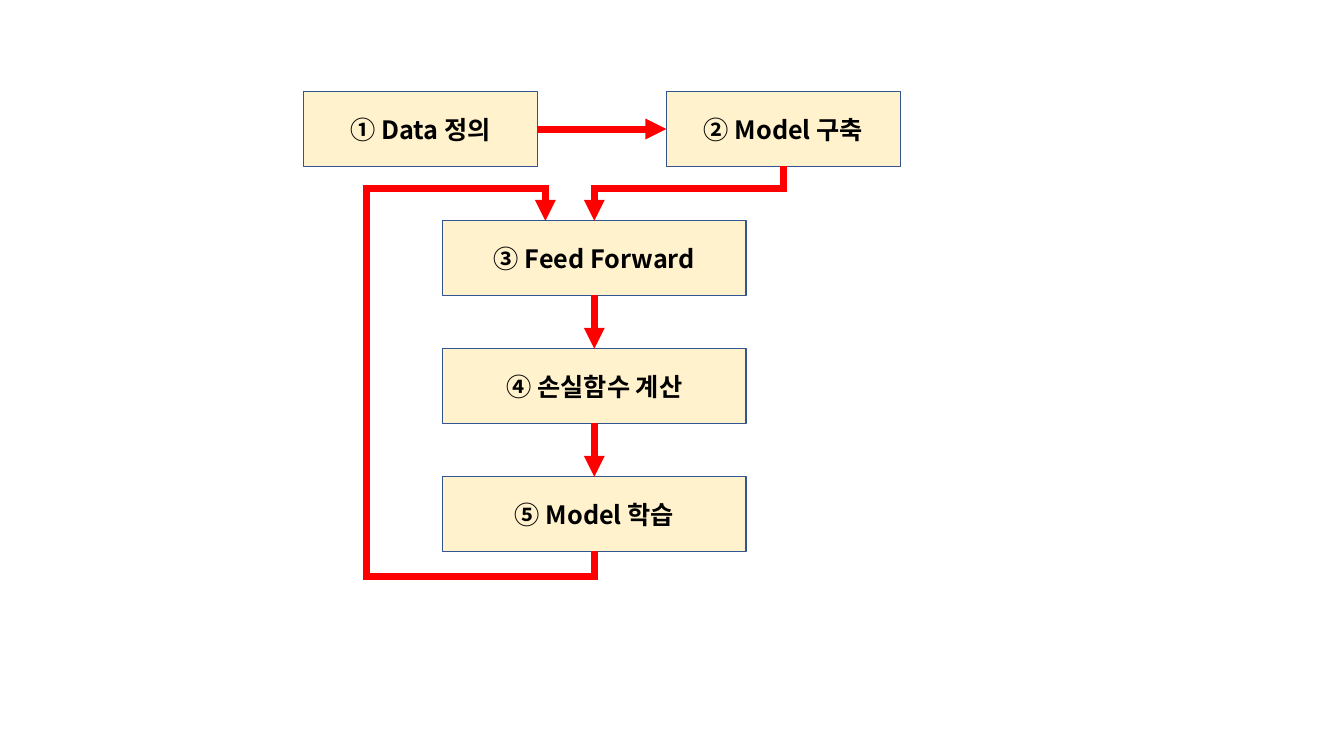
from lxml.etree import SubElement
from pptx import Presentation
from pptx.dml.color import RGBColor
from pptx.enum.shapes import MSO_CONNECTOR, MSO_SHAPE
from pptx.enum.text import MSO_ANCHOR, PP_ALIGN
from pptx.oxml.ns import qn
from pptx.util import Inches, Pt

COLORS = {"box": "FFF2CC", "border": "325491", "arrow": "FF0000", "text": "000000"}
FONT = "Noto Sans CJK KR"
TEXT_FORMAT = {"size": Pt(18), "bold": True, "name": FONT}
BOX_HEIGHT = 0.74
TOP_ROW, LOOP_TOP, LOOP_STEP = 0.91, 2.19, 1.27
TOP_WIDTH, LOOP_LEFT, LOOP_WIDTH = 2.32, 4.39, 3.01

prs = Presentation()
prs.slide_width, prs.slide_height = Inches(13.33), Inches(7.5)
slide = prs.slides.add_slide(prs.slide_layouts[6])


def style_arrow(arrow):
    """Give a connector the thick red line and a triangle at its end."""
    arrow.line.color.rgb = RGBColor.from_string(COLORS["arrow"])
    arrow.line.width = Pt(5)
    line = arrow.line._ln
    SubElement(line, qn("a:miter"), lim="800000")
    SubElement(line, qn("a:tailEnd"), type="triangle")
    SubElement(arrow._element.spPr, qn("a:effectLst"))


def add_bent_arrow(start, end, preset, adjustments):
    """Draw an elbow that leaves and arrives vertically, ending left of its start."""
    (x1, y1), (x2, y2) = start, end
    width, height = abs(y2 - y1), abs(x2 - x1)
    left, top = (x1 + x2 - width) / 2, (y1 + y2 - height) / 2
    arrow = slide.shapes.add_connector(
        MSO_CONNECTOR.ELBOW, Inches(left), Inches(top),
        Inches(left + width), Inches(top + height))
    frame = arrow._element.spPr.find(qn("a:xfrm"))
    frame.set("rot", str(90 * 60000))
    if y2 < y1:
        frame.set("flipH", "1")
    geometry = arrow._element.spPr.find(qn("a:prstGeom"))
    geometry.set("prst", preset)
    guides = geometry.find(qn("a:avLst"))
    if guides is None:
        guides = SubElement(geometry, qn("a:avLst"))
    for number, value in enumerate(adjustments, 1):
        SubElement(guides, qn("a:gd"), name=f"adj{number}",
                   fmla=f"val {round(value * 100000)}")
    style_arrow(arrow)


steps = [
    ("① Data 정의", 3.01, TOP_ROW, TOP_WIDTH),
    ("② Model 구축", 6.61, TOP_ROW, TOP_WIDTH),
]
for row, label in enumerate(["③ Feed Forward", "④ 손실함수 계산", "⑤ Model 학습"]):
    steps.append((label, LOOP_LEFT, LOOP_TOP + row * LOOP_STEP, LOOP_WIDTH))

boxes = []
for label, left, top, width in steps:
    box = slide.shapes.add_shape(
        MSO_SHAPE.RECTANGLE, Inches(left), Inches(top), Inches(width), Inches(BOX_HEIGHT))
    box.shadow.inherit = False
    box.fill.solid()
    box.fill.fore_color.rgb = RGBColor.from_string(COLORS["box"])
    box.line.color.rgb = RGBColor.from_string(COLORS["border"])
    box.line.width = Pt(1)
    box.text_frame.vertical_anchor = MSO_ANCHOR.MIDDLE
    paragraph = box.text_frame.paragraphs[0]
    paragraph.alignment = PP_ALIGN.CENTER
    run = paragraph.add_run()
    run.text = label
    for attribute, value in TEXT_FORMAT.items():
        setattr(run.font, attribute, value)
    run.font.color.rgb = RGBColor.from_string(COLORS["text"])
    SubElement(run.font._element, qn("a:ea"), typeface=FONT)
    boxes.append(box)

data, model, forward, loss, training = boxes
for source, source_side, target, target_side in [
    (data, 3, model, 1),
    (forward, 2, loss, 0),
    (loss, 2, training, 0),
]:
    arrow = slide.shapes.add_connector(MSO_CONNECTOR.STRAIGHT, 0, 0, 0, 0)
    arrow.begin_connect(source, source_side)
    arrow.end_connect(target, target_side)
    style_arrow(arrow)

loop_center = LOOP_LEFT + LOOP_WIDTH / 2
loop_bottom = LOOP_TOP + 2 * LOOP_STEP + BOX_HEIGHT
add_bent_arrow((7.77, TOP_ROW + BOX_HEIGHT), (loop_center, LOOP_TOP),
               "bentConnector3", [0.416])
add_bent_arrow((loop_center, loop_bottom), (5.41, LOOP_TOP),
               "bentConnector5", [-0.076, 4.667, 1.099])

prs.save("out.pptx")
